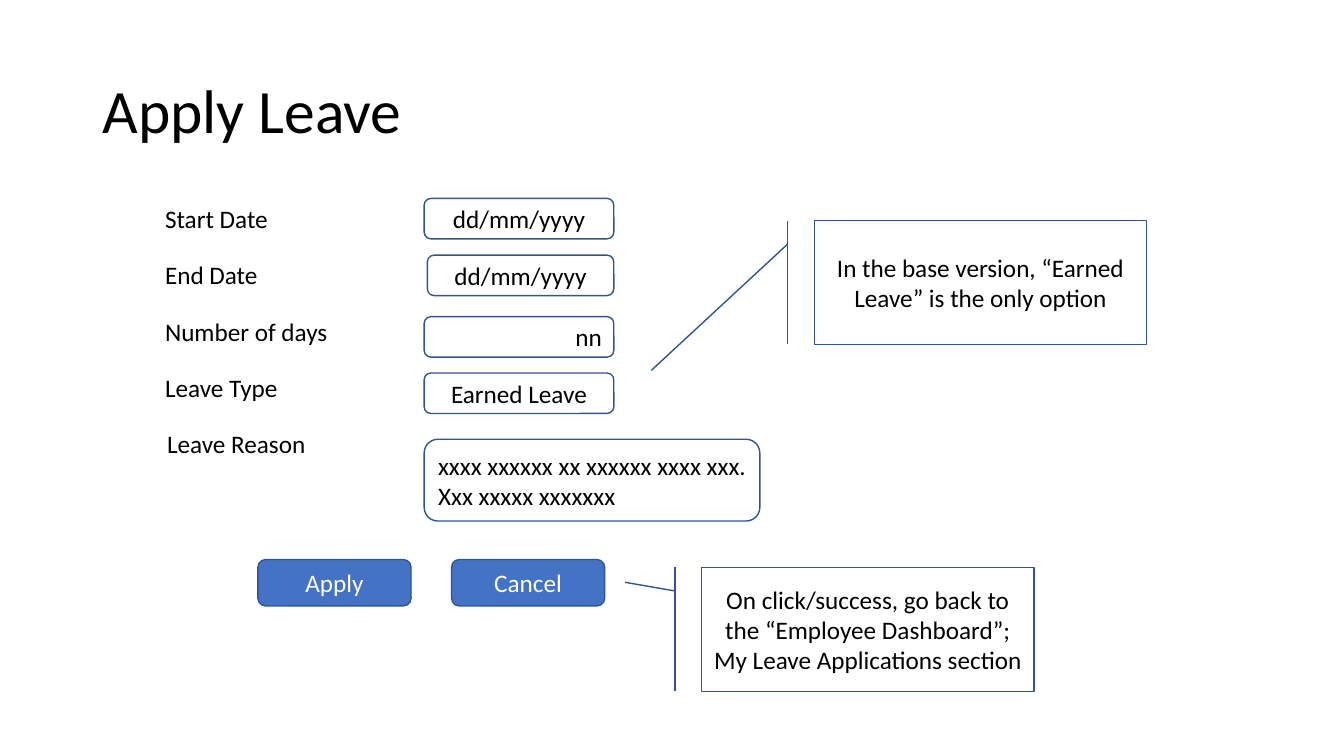
from dataclasses import dataclass

from pptx import Presentation
from pptx.dml.color import RGBColor
from pptx.enum.shapes import MSO_SHAPE
from pptx.enum.text import MSO_ANCHOR, MSO_AUTO_SIZE, PP_ALIGN
from pptx.util import Cm, Pt

ROUND = MSO_SHAPE.ROUNDED_RECTANGLE
NOTE = MSO_SHAPE.LINE_CALLOUT_1_BORDER_AND_ACCENT_BAR
LEFT, MID, RIGHT, FULL = PP_ALIGN.LEFT, PP_ALIGN.CENTER, PP_ALIGN.RIGHT, PP_ALIGN.JUSTIFY
MIDDLE, TOP = MSO_ANCHOR.MIDDLE, MSO_ANCHOR.TOP
GROW = MSO_AUTO_SIZE.SHAPE_TO_FIT_TEXT

FONT = "Calibri"
BLACK, WHITE, BLUE, EDGE = "000000", "FFFFFF", "4472C4", "325491"

LABELS = ["Start Date", "End Date", "Number of days", "Leave Type", "Leave Reason"]
LABEL_TOP, LABEL_STEP = 5.0, 1.42


@dataclass
class Box:
    text: str
    left: float
    top: float
    width: float
    height: float
    align: PP_ALIGN = MID
    fill: str = ""
    adjust: tuple[float, ...] = ()


FIELDS = [
    Box("dd/mm/yyyy", 10.69, 5.0, 4.78, 1.02),
    Box("dd/mm/yyyy", 10.77, 6.43, 4.7, 1.02),
    Box("nn", 10.69, 7.98, 4.78, 1.02, RIGHT),
    Box("Earned Leave", 10.69, 9.4, 4.78, 1.02),
    Box("xxxx xxxxxx xx xxxxxx xxxx xxx. Xxx xxxxx xxxxxxx", 10.69, 11.07, 8.46, 2.06, FULL),
]
BUTTONS = [
    Box(name, left, 14.1, 3.86, 1.17, fill=BLUE)
    for name, left in (("Apply", 6.5), ("Cancel", 11.38))
]
NOTES = [
    Box("In the base version, “Earned Leave” is the only option",
        20.52, 5.56, 8.38, 3.12, adjust=(0.19, -0.08, 1.21, -0.49)),
    Box("On click/success, go back to the “Employee Dashboard”; My Leave Applications section",
        17.68, 14.3, 8.38, 3.12, adjust=(0.19, -0.08, 0.12, -0.23)),
]


def paint(color: str) -> RGBColor:
    return RGBColor.from_string(color)


def write(shape, text: str, *, size: float = 18, color: str = BLACK,
          align: PP_ALIGN = LEFT, anchor: MSO_ANCHOR = MIDDLE, space: float = 1.0) -> None:
    frame = shape.text_frame
    frame.word_wrap = True
    frame.vertical_anchor = anchor
    frame.text = text
    line = frame.paragraphs[0]
    line.alignment = align
    line.line_spacing = space
    font = line.runs[0].font
    font.name, font.size = FONT, Pt(size)
    font.color.rgb = paint(color)


def draw(slide, box: Box, kind: MSO_SHAPE) -> None:
    shape = slide.shapes.add_shape(
        kind, Cm(box.left), Cm(box.top), Cm(box.width), Cm(box.height))
    shape.shadow.inherit = False
    for i, value in enumerate(box.adjust):
        shape.adjustments[i] = value
    if box.fill:
        shape.fill.solid()
        shape.fill.fore_color.rgb = paint(box.fill)
    else:
        shape.fill.background()
    shape.line.color.rgb = paint(EDGE)
    shape.line.width = Pt(1)
    write(shape, box.text, align=box.align, color=WHITE if box.fill else BLACK)


def label(slide, text: str, left: float, top: float) -> None:
    shape = slide.shapes.add_textbox(Cm(left), Cm(top), Cm(7.6), Cm(1.02))
    write(shape, text, anchor=TOP)
    shape.text_frame.auto_size = GROW


def main() -> None:
    deck = Presentation()
    deck.slide_width, deck.slide_height = Cm(33.87), Cm(19.05)
    slide = deck.slides.add_slide(deck.slide_layouts[5])

    title = slide.shapes.title
    title.left, title.top = Cm(2.33), Cm(1.01)
    title.width, title.height = Cm(29.21), Cm(3.68)
    write(title, "Apply Leave", size=44, space=0.9)

    for i, text in enumerate(LABELS):
        left = 3.96 if text == "Leave Reason" else 3.91
        label(slide, text, left, LABEL_TOP + i * LABEL_STEP)
    for kind, boxes in ((ROUND, FIELDS + BUTTONS), (NOTE, NOTES)):
        for box in boxes:
            draw(slide, box, kind)

    deck.save("out.pptx")


if __name__ == "__main__":
    main()
